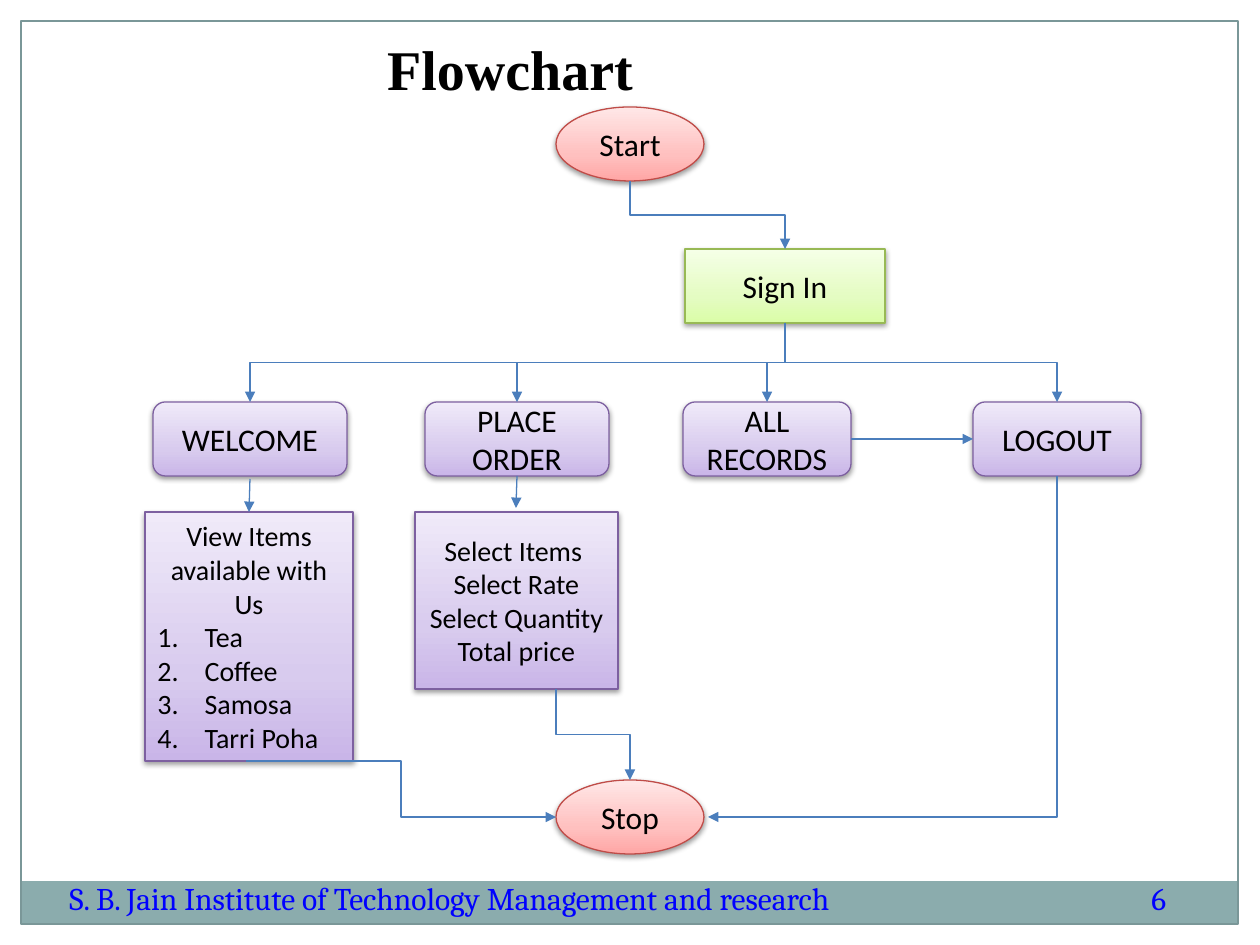
from copy import deepcopy
from typing import NamedTuple

from lxml.etree import SubElement
from pptx import Presentation
from pptx.dml.color import RGBColor
from pptx.enum.shapes import MSO_CONNECTOR, MSO_SHAPE
from pptx.enum.text import MSO_ANCHOR, PP_ALIGN
from pptx.oxml.ns import qn
from pptx.util import Emu, Pt

RED = ("BF4C48", ("FFA6A5", "FFC0BF", "FFE7E7"))
GREEN = ("98B955", ("DAFDA7", "E4FCC2", "F5FFE7"))
PURPLE = ("7D60A0", ("C9B5E8", "D8CBEE", "F0EAF9"))
STOP_POSITIONS = (0, 0.35, 1)
TOP, LEFT, BOTTOM, RIGHT = range(4)
STEPS = (("WELCOME", 8, 194), ("PLACE ORDER", 280, 184),
         ("ALL RECORDS", 538, 168), ("LOGOUT", 828, 168))
MENU = ("Tea", "Coffee", "Samosa", "Tarri Poha")
ORDER = ("Select Items ", "Select Rate", "Select Quantity", "Total price")


def px(value):
    return Emu(round(value * 914400 / 126))


def color(value):
    return RGBColor.from_string(value)


class Box(NamedTuple):
    left: float
    top: float
    width: float
    height: float

    def inside(self, left, top, width, height):
        return Box(self.left + left, self.top + top, width, height)

    def side(self, index):
        across = (0.5, 0, 0.5, 1)[index]
        down = (0, 0.5, 1, 0.5)[index]
        return self.left + across * self.width, self.top + down * self.height

    def lengths(self):
        return [px(value) for value in self]


def add_text(frame, lines, size, font, ink, align=None, bold=False):
    frame.word_wrap = True
    frame.vertical_anchor = MSO_ANCHOR.MIDDLE
    for index, line in enumerate(lines):
        paragraph = frame.add_paragraph() if index else frame.paragraphs[0]
        paragraph.alignment = align
        run = paragraph.add_run()
        run.text = line
        run.font.size = Pt(size)
        run.font.name = font
        run.font.bold = bold
        run.font.color.rgb = color(ink)


def add_label(slide, box, text, size, font, ink, align=None, bold=False):
    frame = slide.shapes.add_textbox(*box.lengths()).text_frame
    add_text(frame, [text], size, font, ink, align, bold)
    return frame


def add_node(slide, box, kind, theme, lines, size=18):
    line_color, stops = theme
    shape = slide.shapes.add_shape(kind, *box.lengths())
    shape.fill.gradient()
    shape.fill.gradient_angle = 90
    stop_list = shape.element.spPr.find(".//" + qn("a:gsLst"))
    stop_list.append(deepcopy(stop_list[0]))
    for stop, value, position in zip(shape.fill.gradient_stops, stops, STOP_POSITIONS):
        stop.color.rgb = color(value)
        stop.position = position
    shape.line.color.rgb = color(line_color)
    shape.line.width = Pt(0.75)
    shape.shadow.inherit = False
    effects = shape.element.spPr.find(qn("a:effectLst"))
    shadow = SubElement(effects, qn("a:outerShdw"), blurRad="40000", dist="20000",
                        dir="5400000", rotWithShape="0")
    shadow_color = SubElement(shadow, qn("a:srgbClr"), val="000000")
    SubElement(shadow_color, qn("a:alpha"), val="38000")
    add_text(shape.text_frame, lines, size, "Calibri", "000000", PP_ALIGN.CENTER)
    return shape


def number_paragraphs(paragraphs):
    for paragraph in paragraphs:
        paragraph.alignment = PP_ALIGN.LEFT
        properties = paragraph._p.get_or_add_pPr()
        properties.set("marL", "342900")
        properties.set("indent", "-342900")
        SubElement(properties, qn("a:buAutoNum"), type="arabicPeriod")


def add_arrow(slide, start, end, kind=MSO_CONNECTOR.STRAIGHT):
    connector = slide.shapes.add_connector(kind, *[px(value) for value in (*start, *end)])
    connector.line.color.rgb = color("4B7EBC")
    connector.line.width = Pt(0.75)
    line = connector.line._get_or_add_ln()
    SubElement(line, qn("a:tailEnd"), type="triangle")
    SubElement(connector.element.spPr, qn("a:effectLst"))
    return connector


def add_falling_elbow(slide, start, end, source=None, target=None, preset="bentConnector3"):
    connector = add_arrow(slide, start, end, MSO_CONNECTOR.ELBOW)
    if source is not None:
        connector.begin_connect(source, BOTTOM)
        connector.end_connect(target, TOP)
    across, down = end[0] - start[0], end[1] - start[1]
    connector.left = px((start[0] + end[0] - down) / 2)
    connector.top = px((start[1] + end[1] - abs(across)) / 2)
    connector.width, connector.height = px(down), px(abs(across))
    transform = connector.element.spPr.find(qn("a:xfrm"))
    transform.attrib.clear()
    transform.set("rot", "16200000" if across > 0 else "5400000")
    if across > 0:
        transform.set("flipH", "1")
    connector.element.spPr.find(qn("a:prstGeom")).set("prst", preset)


def draw_frame(slide, box):
    band = slide.shapes.add_shape(
        MSO_SHAPE.RECTANGLE, *box.inside(0, 860, box.width, 43).lengths())
    band.fill.solid()
    band.fill.fore_color.rgb = color("8BACAD")
    band.line.fill.background()
    border = slide.shapes.add_shape(MSO_SHAPE.RECTANGLE, *box.lengths())
    border.fill.background()
    border.line.color.rgb = color("7A9798")
    border.line.width = Pt(0.75)
    for shape in (band, border):
        shape.shadow.inherit = False


def draw_title(slide, box):
    frame = add_label(slide, box, "Flowchart", 32, "Times New Roman", "000000",
                      PP_ALIGN.CENTER, True)
    frame.margin_right = px(252)


def draw_footer(slide, box):
    add_label(slide, box.inside(0, 0, 921, box.height),
              "S. B. Jain Institute of Technology Management and research",
              18, "Cambria", "0000FF")
    add_label(slide, box.inside(1082, 0, 81, box.height), "6", 18, "Cambria", "0000FF")


def draw_flowchart(slide, box):
    start_box = box.inside(411, 0, 148, 74)
    sign_in_box = box.inside(540, 142, 200, 74)
    stop_box = box.inside(411, 673, 148, 74)
    menu_box = box.inside(0, 405, 208, 249)
    order_box = box.inside(270, 405, 203, 177)

    add_node(slide, start_box, MSO_SHAPE.OVAL, RED, ["Start"])
    sign_in = add_node(slide, sign_in_box, MSO_SHAPE.RECTANGLE, GREEN, ["Sign In"])
    add_node(slide, stop_box, MSO_SHAPE.OVAL, RED, ["Stop"])
    menu = add_node(slide, menu_box, MSO_SHAPE.RECTANGLE, PURPLE,
                    ["View Items available with Us", *MENU], 16)
    number_paragraphs(menu.text_frame.paragraphs[1:])
    add_node(slide, order_box, MSO_SHAPE.RECTANGLE, PURPLE, ORDER, 16)

    add_falling_elbow(slide, start_box.side(BOTTOM), sign_in_box.side(TOP))
    step_boxes, steps = [], []
    for name, left, width in STEPS:
        step_box = box.inside(left, 295, width, 74)
        step = add_node(slide, step_box, MSO_SHAPE.ROUNDED_RECTANGLE, PURPLE, [name])
        add_falling_elbow(slide, sign_in_box.side(BOTTOM), step_box.side(TOP), sign_in, step)
        step_boxes.append(step_box)
        steps.append(step)
    welcome_box, place_box, records_box, logout_box = step_boxes
    welcome, place, records, logout = steps

    x, y = welcome_box.side(BOTTOM)
    add_arrow(slide, (x, y + 3), menu_box.side(TOP)).end_connect(menu, TOP)
    x, y = place_box.side(BOTTOM)
    add_arrow(slide, (x, y), (x - 1, y + 32)).begin_connect(place, BOTTOM)
    transfer = add_arrow(slide, records_box.side(RIGHT), logout_box.side(LEFT))
    transfer.begin_connect(records, RIGHT)
    transfer.end_connect(logout, LEFT)

    x, y = stop_box.side(RIGHT)
    add_falling_elbow(slide, logout_box.side(BOTTOM), (x + 4, y), preset="bentConnector2")
    add_falling_elbow(slide, (stop_box.left, order_box.side(BOTTOM)[1]), stop_box.side(TOP))
    x, y = menu_box.side(BOTTOM)
    add_arrow(slide, (x - 3, y), stop_box.side(LEFT), MSO_CONNECTOR.ELBOW)


def main():
    presentation = Presentation()
    presentation.slide_width, presentation.slide_height = px(1260), px(945)
    slide = presentation.slides.add_slide(presentation.slide_layouts[6])
    draw_frame(slide, Box(21, 21, 1217, 903))
    draw_title(slide, Box(63, 32, 1134, 73))
    draw_footer(slide, Box(57, 851, 1163, 94))
    draw_flowchart(slide, Box(145, 107, 996, 747))
    presentation.save("out.pptx")


if __name__ == "__main__":
    main()
